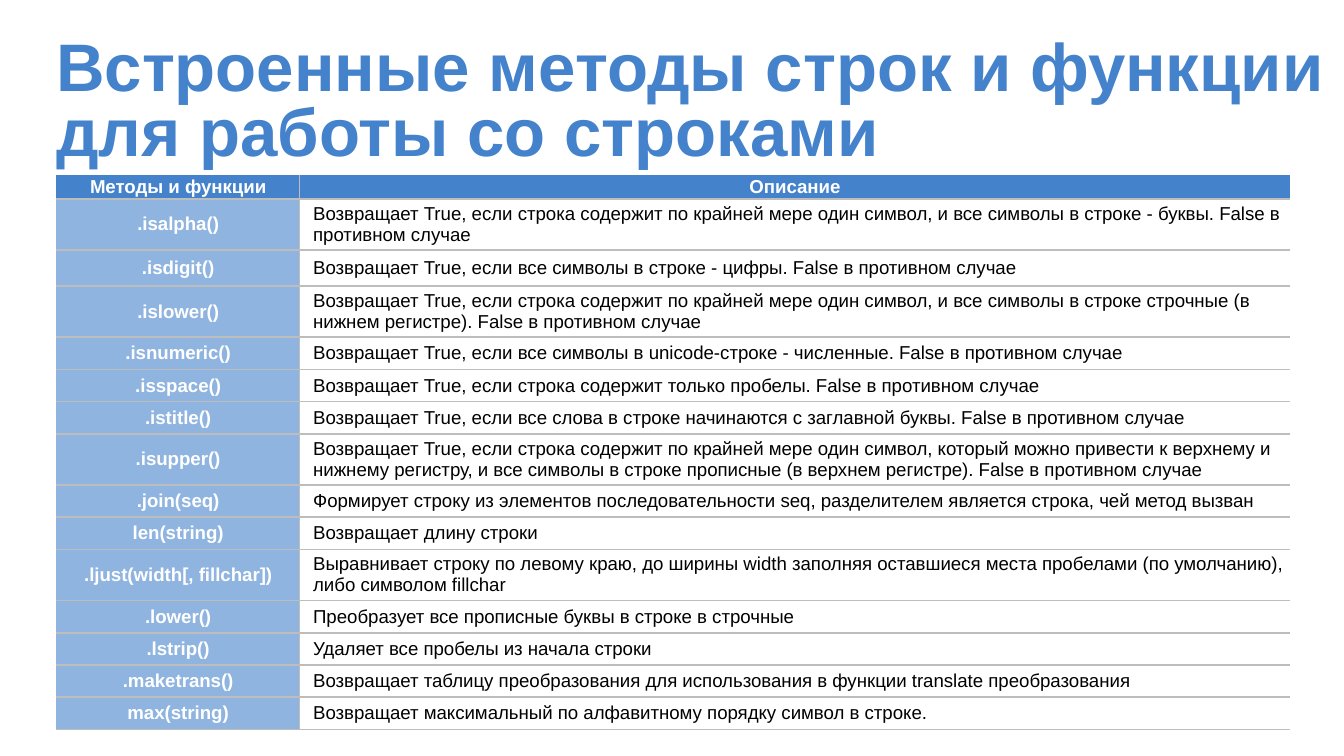
from lxml.etree import SubElement
from pptx import Presentation
from pptx.dml.color import RGBColor as Color
from pptx.enum.text import MSO_ANCHOR as Anchor, PP_ALIGN as Align
from pptx.oxml.ns import qn
from pptx.util import Inches, Pt

THEME = {
    "font": "Arial", "title_size": 36, "table_size": 10,
    "blue": "4482CC", "light_blue": "8FB4E0", "grid": "BDBDBD",
    "white": "FFFFFF", "black": "000000",
}
EDGES = ("L", "R", "T", "B")
HEADER = ("Методы и функции", "Описание")
METHODS = [
    (".isalpha()", "Возвращает True, если строка содержит по крайней мере один символ, и все символы в строке - буквы. False в противном случае"),
    (".isdigit()", "Возвращает True, если все символы в строке - цифры. False в противном случае"),
    (".islower()", "Возвращает True, если строка содержит по крайней мере один символ, и все символы в строке строчные (в нижнем регистре). False в противном случае"),
    (".isnumeric()", "Возвращает True, если все символы в unicode-строке - численные. False в противном случае"),
    (".isspace()", "Возвращает True, если строка содержит только пробелы. False в противном случае"),
    (".istitle()", "Возвращает True, если все слова в строке начинаются с заглавной буквы. False в противном случае"),
    (".isupper()", "Возвращает True, если строка содержит по крайней мере один символ, который можно привести к верхнему и нижнему регистру, и все символы в строке прописные (в верхнем регистре). False в противном случае"),
    (".join(seq)", "Формирует строку из элементов последовательности seq, разделителем является строка, чей метод вызван"),
    ("len(string)", "Возвращает длину строки"),
    (".ljust(width[, fillchar])", "Выравнивает строку по левому краю, до ширины width заполняя оставшиеся места пробелами (по умолчанию), либо символом fillchar"),
    (".lower()", "Преобразует все прописные буквы в строке в строчные"),
    (".lstrip()", "Удаляет все пробелы из начала строки"),
    (".maketrans()", "Возвращает таблицу преобразования для использования в функции translate преобразования"),
    ("max(string)", "Возвращает максимальный по алфавитному порядку символ в строке."),
]
SLIDE_WIDTH = 10
SLIDE_HEIGHT = SLIDE_WIDTH * 9 / 16
COLUMNS = (1.81, 7.37)
HEADER_ROW, SINGLE_ROW, DIGIT_ROW, DOUBLE_ROW = 0.18, 0.24, 0.27, 0.38
LINE_LIMIT = 110  # characters that fit on one line of a description


def write(frame, text, size, color, bold=True, align=Align.LEFT, spacing=None, indent=0):
    paragraph = frame.paragraphs[0]
    paragraph.alignment = align
    paragraph.line_spacing = spacing
    if indent:
        paragraph._p.get_or_add_pPr().set("marL", str(Inches(indent)))
    run = paragraph.add_run()
    run.text = text
    run.font.name = THEME["font"]
    run.font.size = Pt(size)
    run.font.bold = bold
    run.font.color.rgb = Color.from_string(color)


def style_cell(cell, fill, edges, inset):
    cell.vertical_anchor = Anchor.MIDDLE
    cell.margin_left = cell.margin_right = Inches(inset)
    cell.margin_top = cell.margin_bottom = 0
    properties = cell._tc.get_or_add_tcPr()
    for edge in EDGES:
        line = SubElement(properties, qn(f"a:ln{edge}"), w=str(Pt(1)))
        if edge in edges:
            solid = SubElement(line, qn("a:solidFill"))
            SubElement(solid, qn("a:srgbClr"), val=THEME["grid"])
        else:
            SubElement(line, qn("a:noFill"))
    cell.fill.solid()
    cell.fill.fore_color.rgb = Color.from_string(fill)


presentation = Presentation()
presentation.slide_width = Inches(SLIDE_WIDTH)
presentation.slide_height = Inches(SLIDE_HEIGHT)
slide = presentation.slides.add_slide(presentation.slide_layouts[6])

# Table grid: a row is taller when its description needs two lines
heights = [HEADER_ROW]
for name, description in METHODS:
    heights.append(DOUBLE_ROW if len(description) > LINE_LIMIT
                   else DIGIT_ROW if name == ".isdigit()" else SINGLE_ROW)
table = slide.shapes.add_table(
    len(heights), len(COLUMNS), Inches(0.42), Inches(1.3),
    Inches(sum(COLUMNS)), Inches(sum(heights))).table
table.horz_banding = False
for column, width in zip(table.columns, COLUMNS):
    column.width = Inches(width)
for row, height in zip(table.rows, heights):
    row.height = Inches(height)

# Header row
for index, (text, edges) in enumerate(zip(HEADER, ("RB", "LB"))):
    cell = table.cell(0, index)
    style_cell(cell, THEME["blue"], edges, 0.06)
    write(cell.text_frame, text, THEME["table_size"], THEME["white"], align=Align.CENTER)

# Methods and their descriptions
for index, (name, description) in enumerate(METHODS, 1):
    name_cell, description_cell = table.cell(index, 0), table.cell(index, 1)
    style_cell(name_cell, THEME["light_blue"], "RTB", 0.01)
    write(name_cell.text_frame, name, THEME["table_size"], THEME["white"], align=Align.CENTER)
    style_cell(description_cell, THEME["white"], "LTB", 0.01)
    write(description_cell.text_frame, description, THEME["table_size"], THEME["black"],
          bold=False, indent=0.09)

# Title
title = slide.shapes.add_textbox(Inches(0.32), Inches(0.2), Inches(9.68), Inches(0.76))
frame = title.text_frame
frame.word_wrap = True
frame.vertical_anchor = Anchor.TOP
frame.margin_left = frame.margin_right = frame.margin_top = frame.margin_bottom = Inches(0.1)
write(frame, "Встроенные методы строк и функции для работы со строками",
      THEME["title_size"], THEME["blue"], spacing=0.8)

presentation.save("out.pptx")
